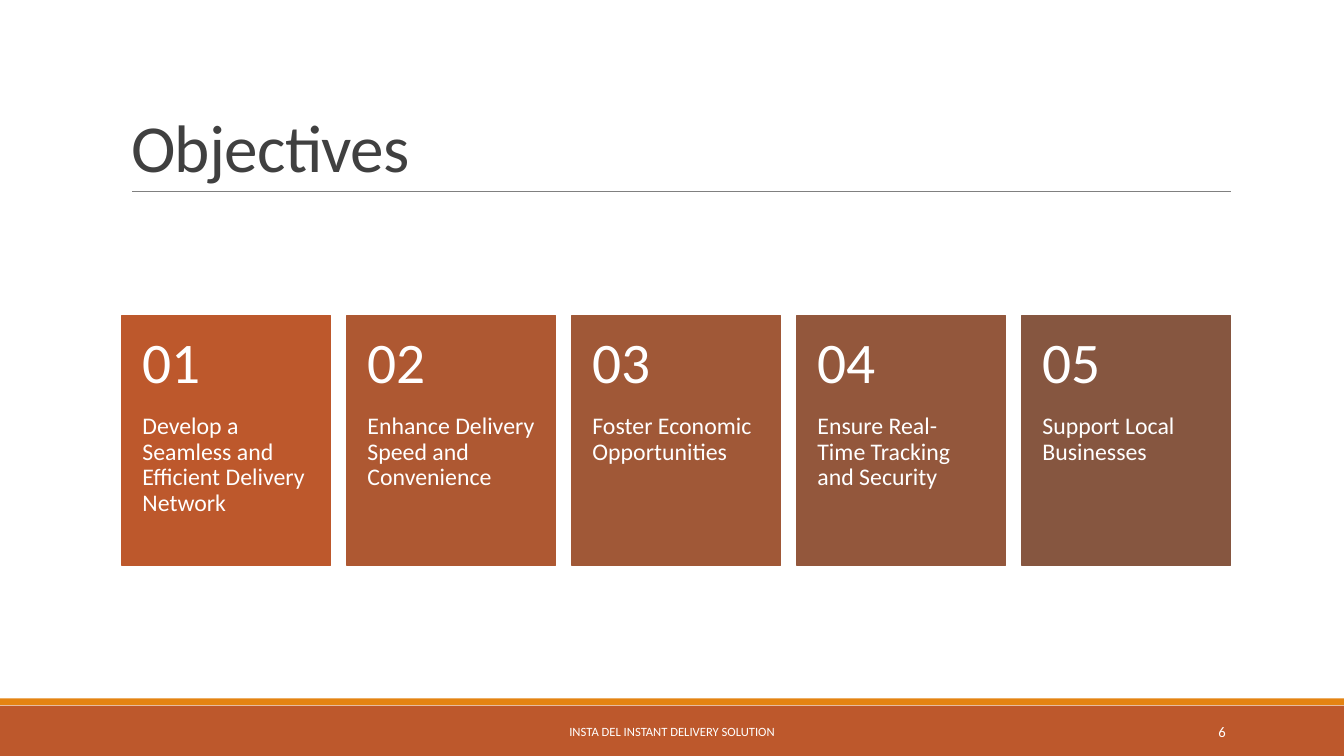
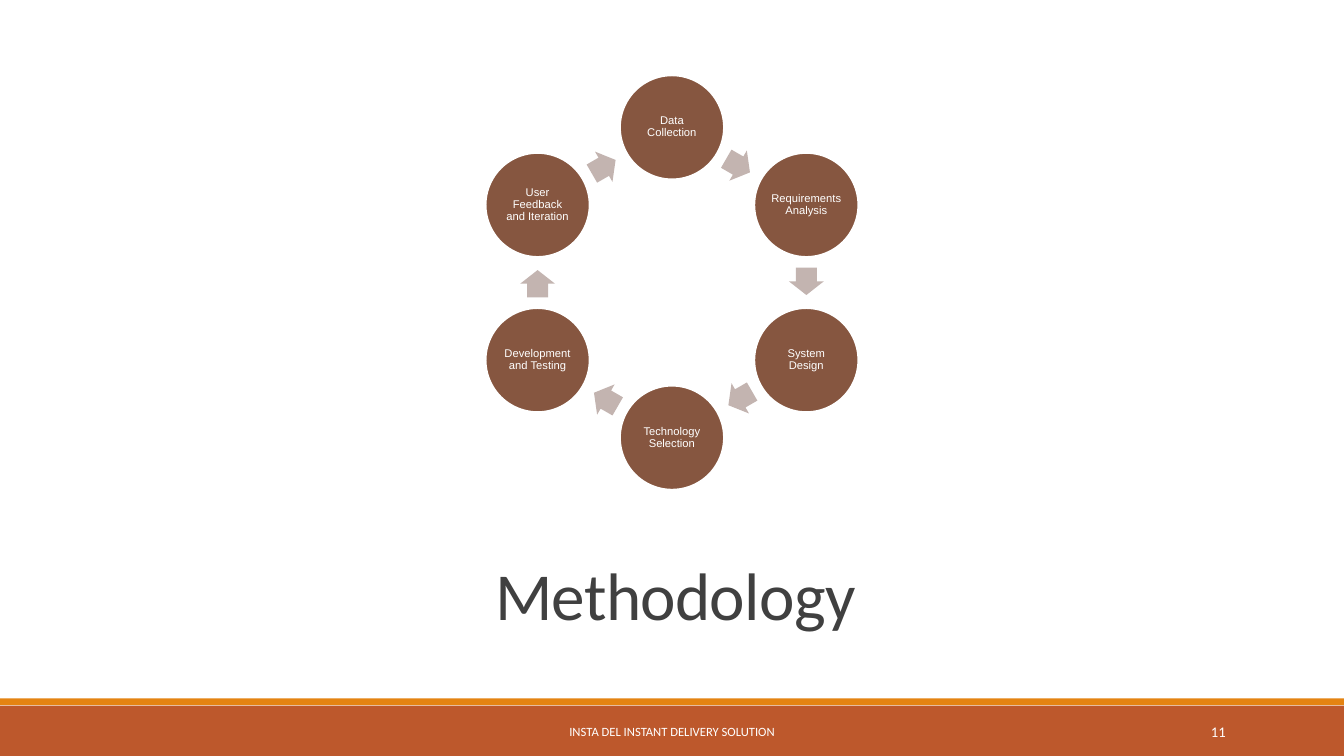
import math
from dataclasses import dataclass

from lxml import etree
from pptx import Presentation
from pptx.dml.color import RGBColor
from pptx.enum.shapes import MSO_CONNECTOR, MSO_SHAPE
from pptx.enum.text import MSO_ANCHOR, MSO_AUTO_SIZE, PP_ALIGN
from pptx.oxml.ns import qn
from pptx.presentation import Presentation as Deck
from pptx.shapes.autoshape import Shape
from pptx.slide import Slide
from pptx.text.text import TextFrame
from pptx.util import Cm, Pt

RECTANGLE, ELLIPSE = MSO_SHAPE.RECTANGLE, MSO_SHAPE.OVAL
RIGHT_ARROW = MSO_SHAPE.RIGHT_ARROW
STRAIGHT = MSO_CONNECTOR.STRAIGHT
TOP, MIDDLE, BOTTOM = MSO_ANCHOR.TOP, MSO_ANCHOR.MIDDLE, MSO_ANCHOR.BOTTOM
LEFT, CENTER, RIGHT = PP_ALIGN.LEFT, PP_ALIGN.CENTER, PP_ALIGN.RIGHT
NO_AUTOFIT = MSO_AUTO_SIZE.NONE

COLORS = {
    "band": "BD582C",
    "stripe": "E48312",
    "rule": "808080",
    "title": "404040",
    "white": "FFFFFF",
    "step": "865640",
    "arrow": "C3B4B0",
    "card 1": "BD582C",
    "card 2": "AE5832",
    "card 3": "A05837",
    "card 4": "93573C",
    "card 5": "865640",
}
HEADING_FONT, STEP_FONT = "Calibri", "Arial"
FOOTER = "INSTA DEL INSTANT DELIVERY SOLUTION"
SLIDE_WIDTH, SLIDE_HEIGHT = 33.87, 19.05
TITLE_ONLY_LAYOUT = 5


@dataclass(frozen=True)
class Box:
    """Position and size in centimetres."""
    left: float
    top: float
    width: float
    height: float

    def lengths(self) -> tuple[Cm, Cm, Cm, Cm]:
        return Cm(self.left), Cm(self.top), Cm(self.width), Cm(self.height)


@dataclass(frozen=True)
class TextStyle:
    size: float
    color: str = "white"
    font: str = HEADING_FONT
    align: PP_ALIGN = LEFT
    line_spacing: float = 1.0
    space_after: float = 0


@dataclass(frozen=True)
class Objective:
    number: str
    goal: str
    color: str


TITLE_LEFT = TextStyle(48, "title", line_spacing=0.85)
TITLE_CENTER = TextStyle(48, "title", align=CENTER, line_spacing=0.85)
FOOTER_STYLE = TextStyle(9, align=CENTER)
PAGE_STYLE = TextStyle(10.5, align=RIGHT)
NUMBER_STYLE = TextStyle(41, line_spacing=0.9, space_after=13)
GOAL_STYLE = TextStyle(17, line_spacing=0.9)
STEP_STYLE = TextStyle(8, font=STEP_FONT, align=CENTER, line_spacing=0.9)

OBJECTIVES = [
    Objective("01", "Develop a Seamless and Efficient Delivery Network", "card 1"),
    Objective("02", "Enhance Delivery Speed and Convenience", "card 2"),
    Objective("03", "Foster Economic Opportunities", "card 3"),
    Objective("04", "Ensure Real-Time Tracking and Security", "card 4"),
    Objective("05", "Support Local Businesses", "card 5"),
]
STEPS = [
    "Data Collection",
    "Requirements Analysis",
    "System Design",
    "Technology Selection",
    "Development and Testing",
    "User Feedback and Iteration",
]


def rgb(color: str) -> RGBColor:
    return RGBColor.from_string(COLORS[color])


def write(frame: TextFrame, lines: list[tuple[str, TextStyle]],
          anchor: MSO_ANCHOR) -> None:
    frame.word_wrap = True
    frame.auto_size = NO_AUTOFIT
    frame.vertical_anchor = anchor
    for index, (text, style) in enumerate(lines):
        paragraph = frame.add_paragraph() if index else frame.paragraphs[0]
        paragraph.text = text
        paragraph.alignment = style.align
        paragraph.line_spacing = style.line_spacing
        paragraph.space_after = Pt(style.space_after)
        paragraph.font.name = style.font
        paragraph.font.size = Pt(style.size)
        paragraph.font.color.rgb = rgb(style.color)


def set_margins(frame: TextFrame, side: float, vertical: float) -> None:
    frame.margin_left = frame.margin_right = Cm(side)
    frame.margin_top = frame.margin_bottom = Cm(vertical)


def add_filled(slide: Slide, kind: MSO_SHAPE, box: Box, fill: str,
               outline: str | None = None) -> Shape:
    shape = slide.shapes.add_shape(kind, *box.lengths())
    shape.shadow.inherit = False
    shape.fill.solid()
    shape.fill.fore_color.rgb = rgb(fill)
    if outline:
        shape.line.color.rgb = rgb(outline)
        shape.line.width = Pt(1.25)
    else:
        shape.line.fill.background()
    return shape


def add_label(slide: Slide, box: Box, text: str, style: TextStyle) -> None:
    label = slide.shapes.add_textbox(*box.lengths())
    write(label.text_frame, [(text, style)], MIDDLE)


def add_base_slide(deck: Deck, title: str, title_box: Box, style: TextStyle,
                   anchor: MSO_ANCHOR, page: str) -> Slide:
    """Add a slide with its title, bands, footer and page number."""
    slide = deck.slides.add_slide(deck.slide_layouts[TITLE_ONLY_LAYOUT])
    add_filled(slide, RECTANGLE, Box(0, 17.78, SLIDE_WIDTH, 1.27), "band")
    add_filled(slide, RECTANGLE, Box(0, 17.6, SLIDE_WIDTH, 0.17), "stripe")

    heading = slide.shapes.title
    heading.left, heading.top, heading.width, heading.height = title_box.lengths()
    write(heading.text_frame, [(title, style)], anchor)
    for properties in heading.element.iter(qn("a:defRPr")):
        properties.set("spc", "-50")

    add_label(slide, Box(27.51, 17.93, 3.63, 1.02), page, PAGE_STYLE)
    add_label(slide, Box(10.24, 17.93, 13.39, 1.02), FOOTER, FOOTER_STYLE)
    return slide


def add_title_rule(slide: Slide) -> None:
    rule = slide.shapes.add_connector(
        STRAIGHT, Cm(3.33), Cm(4.83), Cm(31.01), Cm(4.83))
    rule.line.color.rgb = rgb("rule")
    rule.line.width = Pt(0.5)
    etree.SubElement(rule.element.spPr, qn("a:effectLst"))


def build_objectives(deck: Deck) -> None:
    slide = add_base_slide(deck, "Objectives", Box(3.05, 0.79, 27.94, 4.04),
                           TITLE_LEFT, BOTTOM, "6")
    add_title_rule(slide)

    # Row of numbered cards
    first_left, pitch = 3.07, 5.67
    for index, objective in enumerate(OBJECTIVES):
        box = Box(first_left + index * pitch, 7.95, 5.26, 6.3)
        card = add_filled(slide, RECTANGLE, box, objective.color, objective.color)
        set_margins(card.text_frame, 0.52, 0.46)
        write(card.text_frame, [(objective.number, NUMBER_STYLE),
                                (objective.goal, GOAL_STYLE)], TOP)


def build_methodology(deck: Deck) -> None:
    slide = add_base_slide(deck, "Methodology", Box(3.05, 13.46, 27.94, 3.3),
                           TITLE_CENTER, MIDDLE, "11")

    # Cycle of steps, clockwise from the top
    center_x, center_y, radius = SLIDE_WIDTH / 2, 7.12, 3.91
    diameter, arrow_length, arrow_width = 2.62, 0.69, 0.88
    arrow_setback = 0.03
    turn = 360 / len(STEPS)
    arrow_radius = radius * math.cos(math.radians(turn / 2))

    for index, step in enumerate(STEPS):
        angle = math.radians(index * turn)
        x = center_x + radius * math.sin(angle)
        y = center_y - radius * math.cos(angle)
        box = Box(x - diameter / 2, y - diameter / 2, diameter, diameter)
        circle = add_filled(slide, ELLIPSE, box, "step", "white")
        set_margins(circle.text_frame, 0.03, 0.03)
        write(circle.text_frame, [(step, STEP_STYLE)], MIDDLE)

        # Arrow to the next step
        heading = (index + 0.5) * turn
        angle = math.radians(heading)
        x = (center_x + arrow_radius * math.sin(angle)
             - arrow_setback * math.cos(angle))
        y = (center_y - arrow_radius * math.cos(angle)
             - arrow_setback * math.sin(angle))
        box = Box(x - arrow_length / 2, y - arrow_width / 2,
                  arrow_length, arrow_width)
        arrow = add_filled(slide, RIGHT_ARROW, box, "arrow")
        arrow.adjustments[0] = 0.6
        arrow.adjustments[1] = 0.5
        arrow.rotation = heading


def main() -> None:
    deck = Presentation()
    deck.slide_width, deck.slide_height = Cm(SLIDE_WIDTH), Cm(SLIDE_HEIGHT)
    build_objectives(deck)
    build_methodology(deck)
    deck.save("out.pptx")


if __name__ == "__main__":
    main()
